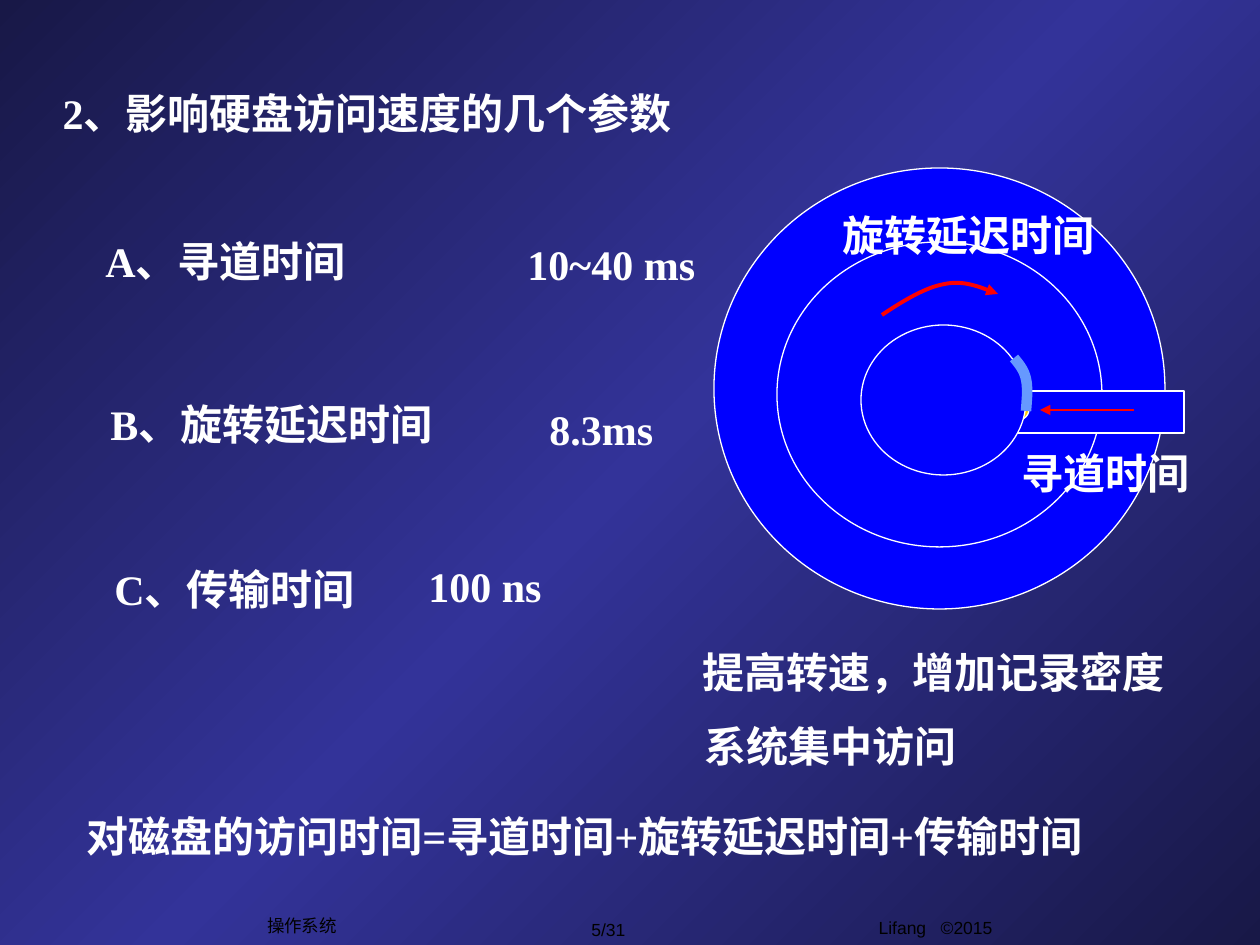
from copy import deepcopy

from lxml import etree
from pptx import Presentation, util as u
from pptx.dml.color import RGBColor
from pptx.enum import shapes, text
from pptx.oxml.ns import qn

EMU = 914400 / 126
COLORS = {"edge": "181847", "mid": "333399", "disc": "0000FF", "white": "FFFFFF",
          "black": "000000", "arrow": "FF0000", "head": "6699FF", "spot": "FFCC00"}
BODY = {"name": "Times New Roman", "size": u.Pt(24), "bold": True}
FOOTER = {"name": "Arial", "size": u.Pt(10), "bold": False}


def px(n):
    """Turn px into EMU."""
    return u.Emu(round(n * EMU))


def rgb(key):
    """Look up a palette colour."""
    return RGBColor.from_string(COLORS[key])


def format_text(tf, words, fmt, color, align, anchor):
    """Write one formatted paragraph into a text frame."""
    frame = {"word_wrap": False, "auto_size": text.MSO_AUTO_SIZE.NONE, "vertical_anchor": anchor}
    for name, value in frame.items():
        setattr(tf, name, value)
    p = tf.paragraphs[0]
    p.alignment = align
    r = p.add_run()
    r.text = words
    for name, value in fmt.items():
        setattr(r.font, name, value)
    r.font.color.rgb = rgb(color)


def add_text(s, words, x, y, w, h=63, fmt=BODY, color="white",
             align=text.PP_ALIGN.LEFT, anchor=text.MSO_ANCHOR.TOP):
    """Add a one-line text box."""
    sp = s.shapes.add_textbox(px(x), px(y), px(w), px(h))
    format_text(sp.text_frame, words, fmt, color, align, anchor)


def set_line(sp, color, width, arrow=False):
    """Set the outline and an optional arrowhead."""
    sp.line.color.rgb = rgb(color)
    sp.line.width = u.Pt(width)
    if arrow:
        ln = sp.line._get_or_add_ln()
        etree.SubElement(ln, qn("a:tailEnd"), type="triangle")


def add_preset(s, kind, x, y, w, h, fill="disc"):
    """Add a filled preset shape with a thin white outline."""
    sp = s.shapes.add_shape(kind, px(x), px(y), px(w), px(h))
    sp.shadow.inherit = False
    sp.fill.solid()
    sp.fill.fore_color.rgb = rgb(fill)
    set_line(sp, "white", 0.75)


def add_curve(s, x, y, points, color, width, arrow=False):
    """Draw chained cubic curves through points relative to x, y."""
    pts = [(px(x + a), px(y + b)) for a, b in points]
    steps = 16
    track = []
    for i in range(0, len(pts) - 1, 3):
        for k in range(1, steps + 1):
            t = k / steps
            weights = ((1 - t) ** 3, 3 * t * (1 - t) ** 2, 3 * t * t * (1 - t), t ** 3)
            track.append(tuple(sum(w * q[axis] for w, q in zip(weights, pts[i:i + 4]))
                               for axis in (0, 1)))
    builder = s.shapes.build_freeform(*pts[0], scale=1.0)
    builder.add_line_segments(track, close=False)
    sp = builder.convert_to_shape()
    sp.shadow.inherit = False
    sp.fill.background()
    set_line(sp, color, width, arrow)


def add_background(s):
    """Fill the slide with a diagonal three-stop gradient."""
    fill = s.background.fill
    fill.gradient()
    fill.gradient_angle = 315
    stops = s.element.xpath(".//a:gsLst")[0]
    stops.append(deepcopy(stops[-1]))
    for stop, key, place in zip(fill.gradient_stops, ("edge", "mid", "edge"), (0, 0.5, 1)):
        stop.color.rgb = rgb(key)
        stop.position = place


def add_title(s, x, y, w, h):
    """Place and format the title placeholder."""
    sp = s.shapes.title
    for name, value in zip(("left", "top", "width", "height"), (x, y, w, h)):
        setattr(sp, name, px(value))
    format_text(sp.text_frame, "2、影响硬盘访问速度的几个参数", BODY, "white",
                text.PP_ALIGN.LEFT, text.MSO_ANCHOR.MIDDLE)


def add_disc(s, x, y, w, h):
    """Draw the platter, its tracks, the arm and their two delays."""
    oval = shapes.MSO_SHAPE.OVAL
    add_preset(s, oval, x, y, w, h)
    add_preset(s, oval, x + 63, y + 74, 325, 305)
    add_preset(s, shapes.MSO_SHAPE.RECTANGLE, x + 197, y + 223, 273, 42)
    seek = s.shapes.add_connector(shapes.MSO_CONNECTOR.STRAIGHT,
                                  px(x + 420), px(y + 242), px(x + 326), px(y + 242))
    set_line(seek, "arrow", 0.75, arrow=True)
    etree.SubElement(seek._element.spPr, qn("a:effectLst"))
    add_preset(s, oval, x + 294, y + 231, 21, 21, "spot")
    add_curve(s, x, y, [(168, 147), (189, 133), (212, 119), (231, 116),
                        (250, 112), (266, 119), (284, 126)], "arrow", 2.25, arrow=True)
    add_preset(s, oval, x + 147, y + 157, 165, 150)
    add_curve(s, x, y, [(300, 190), (305, 196), (310, 202), (312, 211),
                        (314, 220), (313, 231), (312, 243)], "head", 6)
    add_text(s, "寻道时间", x + 295, y + 273, 193)
    add_text(s, "旋转延迟时间", x + 116, y + 35, 277)


def add_parameters(s, x, y):
    """List the three times with their typical values."""
    rows = [("A、寻道时间", 0, 0, 276, "10~40 ms", 422, 3, 193),
            ("B、旋转延迟时间", 5, 163, 357, "8.3ms", 444, 168, 130),
            ("C、传输时间", 9, 328, 276, "100 ns", 323, 325, 139)]
    for label, lx, ly, lw, value, vx, vy, vw in rows:
        add_text(s, label, x + lx, y + ly, lw)
        add_text(s, value, x + vx, y + vy, vw)


def add_conclusions(s, x, y):
    """Write the improvements and the access time formula."""
    add_text(s, "提高转速，增加记录密度", x + 616, y, 486)
    add_text(s, "系统集中访问", x + 618, y + 74, 277)
    add_text(s, "对磁盘的访问时间=寻道时间+旋转延迟时间+传输时间", x, y + 164, 1081)


def add_footer(s, y):
    """Write course, page and copyright along the bottom."""
    middle = text.MSO_ANCHOR.MIDDLE
    for words, x, dy, w, h, anchor in (("操作系统", 255, 0, 94, 34, middle),
                                       ("5/31", 544, 4, 129, 34, middle),
                                       ("Lifang   ©2015", 736, 3, 399, 44, text.MSO_ANCHOR.TOP)):
        add_text(s, words, x, y + dy, w, h, FOOTER, "black", text.PP_ALIGN.CENTER, anchor)


def main():
    """Build and save the slide."""
    prs = Presentation()
    prs.slide_width, prs.slide_height = px(1260), px(945)
    s = prs.slides.add_slide(prs.slide_layouts[5])
    add_background(s)
    add_footer(s, 908)
    add_title(s, 50, 81, 1076, 63)
    add_disc(s, 714, 168, 451, 441)
    add_parameters(s, 93, 229)
    add_conclusions(s, 74, 640)
    prs.save("out.pptx")


if __name__ == "__main__":
    main()
